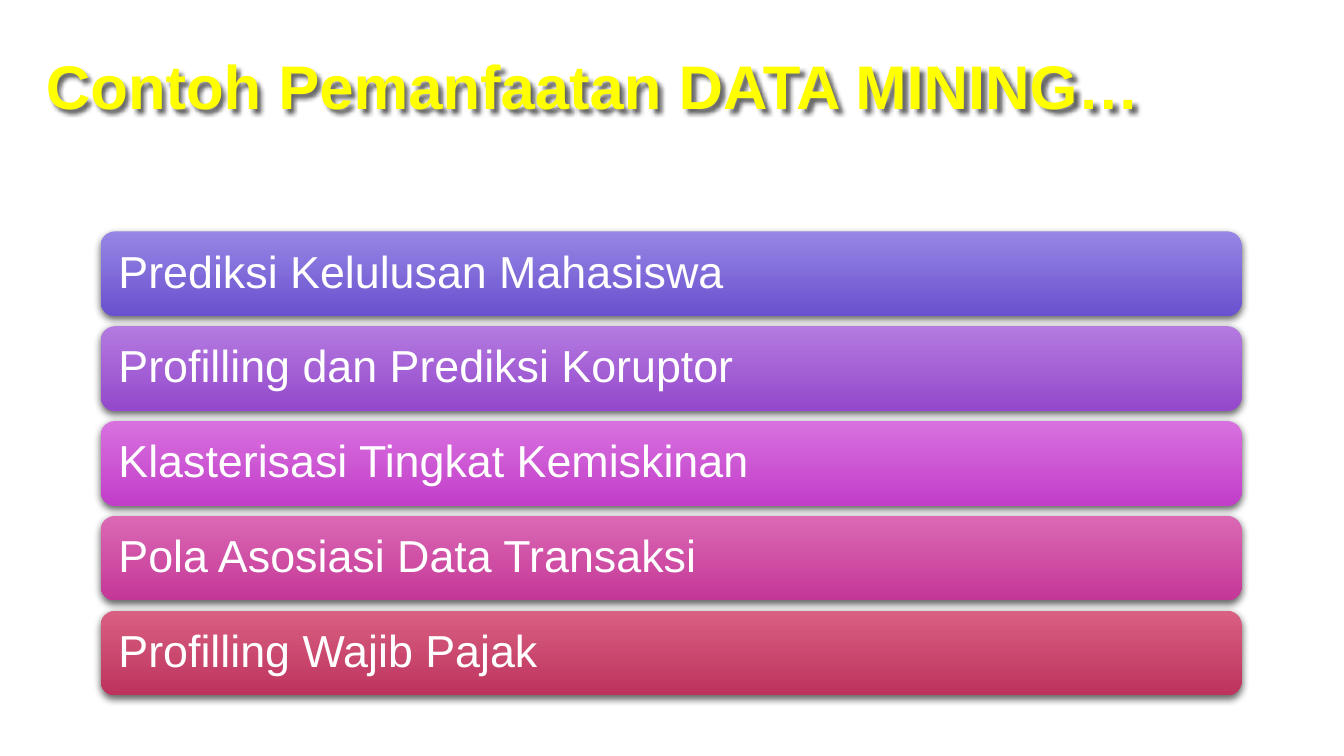
"""Build a slide listing example uses of data mining as gradient bars."""
from dataclasses import dataclass

from lxml import etree
from pptx import Presentation
from pptx import util as u
from pptx.dml.color import RGBColor
from pptx.enum import shapes, text
from pptx.oxml import ns

FONT = "Arial"
YELLOW = RGBColor(0xFF, 0xFF, 0x00)
WHITE = RGBColor(0xFF, 0xFF, 0xFF)
INDIGO_LIGHT, INDIGO = RGBColor(0x97, 0x86, 0xE4), RGBColor(0x6A, 0x51, 0xCF)
PURPLE_LIGHT, PURPLE = RGBColor(0xB4, 0x7A, 0xE0), RGBColor(0x94, 0x48, 0xCB)
ORCHID_LIGHT, ORCHID = RGBColor(0xD8, 0x71, 0xDF), RGBColor(0xC2, 0x3E, 0xC9)
PINK_LIGHT, PINK = RGBColor(0xDB, 0x69, 0xB4), RGBColor(0xC4, 0x37, 0x97)
ROSE_LIGHT, ROSE = RGBColor(0xD9, 0x60, 0x82), RGBColor(0xBD, 0x33, 0x5D)

BAR_LEFT, BAR_TOP = u.Cm(2.54), u.Cm(5.83)
BAR_WIDTH, BAR_HEIGHT = u.Cm(28.75), u.Cm(2.13)
BAR_PITCH = u.Cm(2.39)


@dataclass(frozen=True)
class Example:
    label: str
    top_color: RGBColor
    bottom_color: RGBColor


EXAMPLES = (
    Example("Prediksi Kelulusan Mahasiswa", INDIGO_LIGHT, INDIGO),
    Example("Profilling dan Prediksi Koruptor", PURPLE_LIGHT, PURPLE),
    Example("Klasterisasi Tingkat Kemiskinan", ORCHID_LIGHT, ORCHID),
    Example("Pola Asosiasi Data Transaksi", PINK_LIGHT, PINK),
    Example("Profilling Wajib Pajak", ROSE_LIGHT, ROSE),
)


def add_shadow(box, blur: int, distance: int, degrees: int) -> None:
    box.shadow.inherit = False
    effects = box._element.spPr.find(ns.qn("a:effectLst"))
    shadow = etree.SubElement(
        effects, ns.qn("a:outerShdw"), blurRad=str(u.Pt(blur)), dist=str(u.Pt(distance)),
        dir=str(degrees * 60000), algn="ctr", rotWithShape="0")
    color = etree.SubElement(shadow, ns.qn("a:srgbClr"), val="000000")
    etree.SubElement(color, ns.qn("a:alpha"), val="60000")


def write_line(frame, words: str, size: int, color: RGBColor, align: text.PP_ALIGN):
    frame.text = words
    frame.word_wrap = True
    frame.auto_size = text.MSO_AUTO_SIZE.NONE
    frame.vertical_anchor = text.MSO_ANCHOR.MIDDLE
    para = frame.paragraphs[0]
    para.alignment = align
    para.line_spacing = 0.9
    span = para.runs[0]
    span.font.name = FONT
    span.font.size = u.Pt(size)
    span.font.color.rgb = color
    return span


def add_title(page, words: str) -> None:
    title = page.shapes.title
    title.left, title.top = u.Cm(0.58), u.Cm(0.51)
    title.width, title.height = u.Cm(28.75), u.Cm(3.51)
    title.fill.background()
    title.line.fill.background()
    span = write_line(title.text_frame, words, 44, YELLOW, text.PP_ALIGN.CENTER)
    span.font.bold = True
    add_shadow(title, 3, 3, 45)


def add_bar(page, example: Example, top: int) -> None:
    bar = page.shapes.add_shape(
        shapes.MSO_SHAPE.ROUNDED_RECTANGLE, BAR_LEFT, top, BAR_WIDTH, BAR_HEIGHT)
    bar.adjustments[0] = 0.17
    bar.fill.gradient()
    bar.fill.gradient_angle = 270
    for stop, color in zip(bar.fill.gradient_stops, (example.top_color, example.bottom_color)):
        stop.color.rgb = color
    bar.line.fill.background()
    add_shadow(bar, 5, 2, 90)
    frame = bar.text_frame
    frame.margin_left = frame.margin_right = u.Cm(0.34)
    write_line(frame, example.label, 32, WHITE, text.PP_ALIGN.LEFT)


def main() -> None:
    deck = Presentation()
    deck.slide_width, deck.slide_height = u.Cm(33.87), u.Cm(19.05)
    page = deck.slides.add_slide(deck.slide_layouts.get_by_name("Title Only"))
    add_title(page, "Contoh Pemanfaatan DATA MINING…")
    for row, example in enumerate(EXAMPLES):
        add_bar(page, example, BAR_TOP + row * BAR_PITCH)
    deck.save("out.pptx")


if __name__ == "__main__":
    main()
